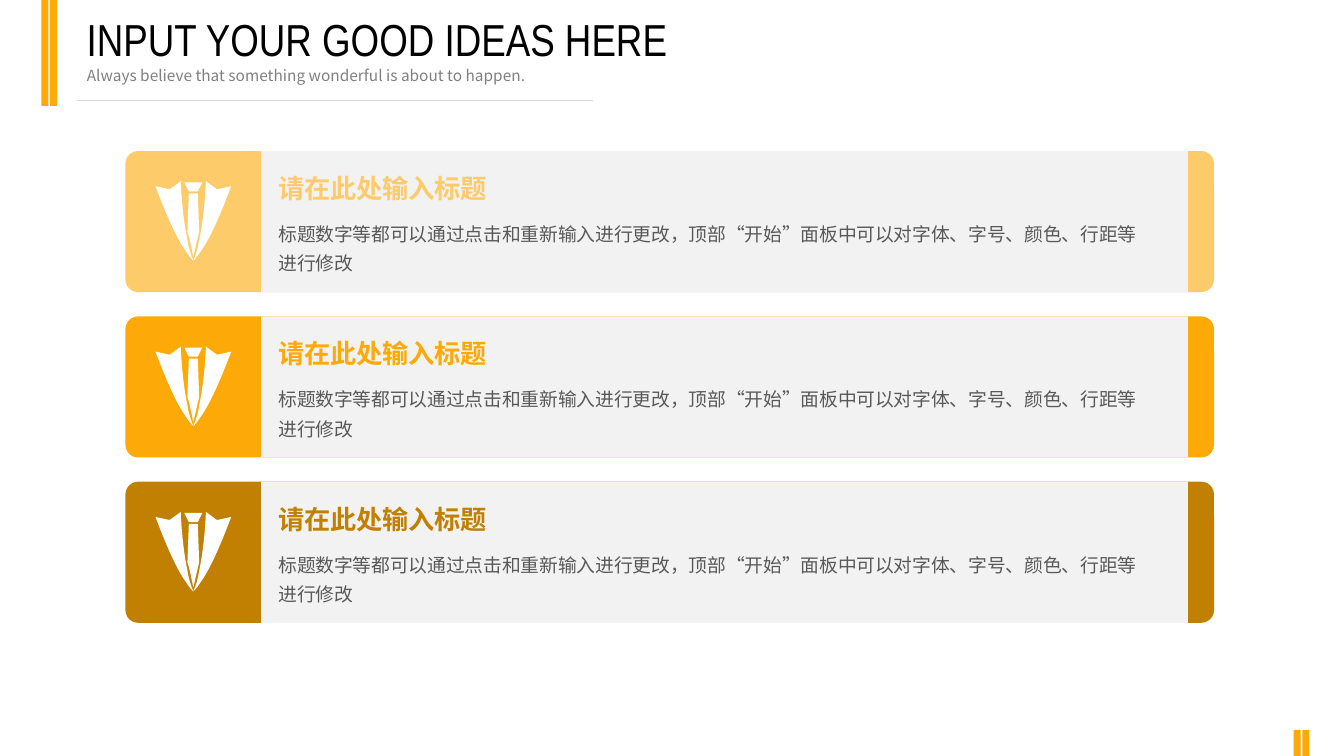
from dataclasses import dataclass
from itertools import chain

from pptx import Presentation
from pptx.dml.color import RGBColor
from pptx.enum.shapes import MSO_CONNECTOR as CONN, MSO_SHAPE as SHAPE
from pptx.enum.text import MSO_ANCHOR as ANCHOR, MSO_AUTO_SIZE as AUTO, PP_ALIGN as ALIGN
from pptx.oxml.ns import qn
from pptx.shapes.base import BaseShape
from pptx.slide import Slide
from pptx.text.text import TextFrame
from pptx.util import Pt

COLORS = {
    "light": "FECB6A",
    "amber": "FDA907",
    "brown": "C18002",
    "panel": "F2F2F2",
    "rule": "D9D9D9",
    "body": "595959",
    "muted": "808080",
    "black": "000000",
    "white": "FFFFFF",
}
CJK_FONT = "Noto Sans CJK SC"
HEADING = "请在此处输入标题"
BODY = "标题数字等都可以通过点击和重新输入进行更改，顶部“开始”面板中可以对字体、字号、颜色、行距等进行修改"
CARD_TOP, CARD_PITCH, CARD_HEIGHT = 107.9, 118.1, 100.8
ICON_AXIS = 138.1

Point = tuple[float, float]


@dataclass(frozen=True)
class Box:
    left: float
    top: float
    width: float
    height: float

    def lengths(self) -> tuple[Pt, Pt, Pt, Pt]:
        return Pt(self.left), Pt(self.top), Pt(self.width), Pt(self.height)


@dataclass(frozen=True)
class Style:
    size: float
    color: str
    font: str = "Arial"
    bold: bool = False


@dataclass(frozen=True)
class Outline:
    start: Point
    segments: tuple[tuple[Point, ...], ...]

    def mirrored(self) -> "Outline":
        flipped = tuple(tuple((-x, y) for x, y in seg) for seg in self.segments)
        return Outline((-self.start[0], self.start[1]), flipped)


KNOT = Outline((3.2, 28.8), (((6.4, 22.3),), ((-6.4, 22.3),), ((-3.2, 28.8),)))
BLADE = Outline((-4.2, 57.6), (
    ((-2.6, 61.9), (0, 75.6), (0, 75.6)),
    ((0, 75.6), (3, 62.6), (4.2, 57.6)),
    ((3.2, 30.2),),
    ((-3.2, 30.2),),
))
LAPEL = Outline((-9, 21.6), (
    ((-16.9, 27.4),),
    ((-27, 25.2),),
    ((-16.9, 52.2), (-9.7, 65.9), (-4.7, 72.5)),
    ((-1.8, 77), (0, 78.3), (0, 78.3)),
    ((-1.8, 74.2), (-3.4, 69.1), (-4.2, 63.4)),
    ((-8.3, 44.6), (-9, 21.6), (-9, 21.6)),
))
TIE_ICON = (KNOT, BLADE, LAPEL, LAPEL.mirrored())


def paint(s: BaseShape, color: str) -> None:
    s.shadow.inherit = False
    s.fill.solid()
    s.fill.fore_color.rgb = RGBColor.from_string(COLORS[color])
    s.line.fill.background()


def add_block(sl: Slide, box: Box, color: str, kind: SHAPE = SHAPE.RECTANGLE) -> BaseShape:
    s = sl.shapes.add_shape(kind, *box.lengths())
    paint(s, color)
    return s


def write(tf: TextFrame, text: str, style: Style, anchor: ANCHOR = ANCHOR.MIDDLE) -> None:
    tf.text = text
    tf.word_wrap = True
    tf.auto_size = AUTO.NONE
    tf.vertical_anchor = anchor
    p = tf.paragraphs[0]
    p.alignment = ALIGN.LEFT
    r = p.runs[0]
    r.font.size = Pt(style.size)
    r.font.bold = style.bold
    r.font.name = style.font
    r.font.color.rgb = RGBColor.from_string(COLORS[style.color])


def add_text(sl: Slide, box: Box, text: str, style: Style, anchor: ANCHOR = ANCHOR.MIDDLE) -> TextFrame:
    tf = sl.shapes.add_textbox(*box.lengths()).text_frame
    write(tf, text, style, anchor)
    return tf


def bend(s: BaseShape, outline: Outline) -> None:
    lines = iter(list(s._element.iter(qn("a:lnTo"))))
    for segment in outline.segments:
        group = [next(lines) for _ in segment]
        if len(group) == 3:
            curve = group[0].makeelement(qn("a:cubicBezTo"), {})
            group[0].addprevious(curve)
            for line in group:
                curve.append(line[0])
                line.getparent().remove(line)


def add_icon(sl: Slide, top: float) -> None:
    for outline in TIE_ICON:
        pts = [(Pt(ICON_AXIS + x), Pt(top + y)) for x, y in chain([outline.start], *outline.segments)]
        builder = sl.shapes.build_freeform(*pts[0])
        builder.add_line_segments(pts[1:], close=True)
        s = builder.convert_to_shape()
        bend(s, outline)
        paint(s, "white")


def add_card(sl: Slide, top: float, color: str) -> None:
    card = add_block(sl, Box(89.6, top, 777.6, CARD_HEIGHT), color, SHAPE.ROUNDED_RECTANGLE)
    card.adjustments[0] = 0.09
    add_block(sl, Box(186.5, top, 662, CARD_HEIGHT), "panel")
    add_text(sl, Box(191.6, top + 11.4, 430.6, 30.2), HEADING, Style(18.67, color, bold=True))
    tf = add_text(sl, Box(191.8, top + 43, 637.9, 47.5), BODY, Style(13.33, "body"), ANCHOR.TOP)
    p = tf.paragraphs[0]
    p.line_spacing = 1.3
    p.space_before = Pt(8)
    add_icon(sl, top)


def add_header(sl: Slide) -> None:
    title = sl.shapes.title
    title.left, title.top, title.width, title.height = Box(54.7, 4.3, 624.2, 46).lengths()
    write(title.text_frame, "INPUT YOUR GOOD IDEAS HERE", Style(32, "black", "Arial Narrow"))
    add_text(sl, Box(55, 43.2, 508.3, 21), "Always believe that something wonderful is about to happen.",
             Style(11, "muted", CJK_FONT))
    rule = sl.shapes.add_connector(CONN.STRAIGHT, Pt(54.7), Pt(71.6), Pt(423.4), Pt(71.6))
    rule.line.color.rgb = RGBColor.from_string(COLORS["rule"])
    rule.line.width = Pt(0.75)
    sp_pr = rule._element.spPr
    sp_pr.append(sp_pr.makeelement(qn("a:effectLst"), {}))


def main() -> None:
    prs = Presentation()
    prs.slide_width, prs.slide_height = Pt(960), Pt(540)
    sl = prs.slides.add_slide(prs.slide_layouts[5])
    for left, top, height in ((29.6, 0, 75.6), (924, 521.3, 18.7)):
        for offset in (0, 6.3):
            add_block(sl, Box(left + offset, top, 5, height), "amber")
    add_header(sl)
    for row, color in enumerate(("light", "amber", "brown")):
        add_card(sl, CARD_TOP + row * CARD_PITCH, color)
    prs.save("out.pptx")


if __name__ == "__main__":
    main()
